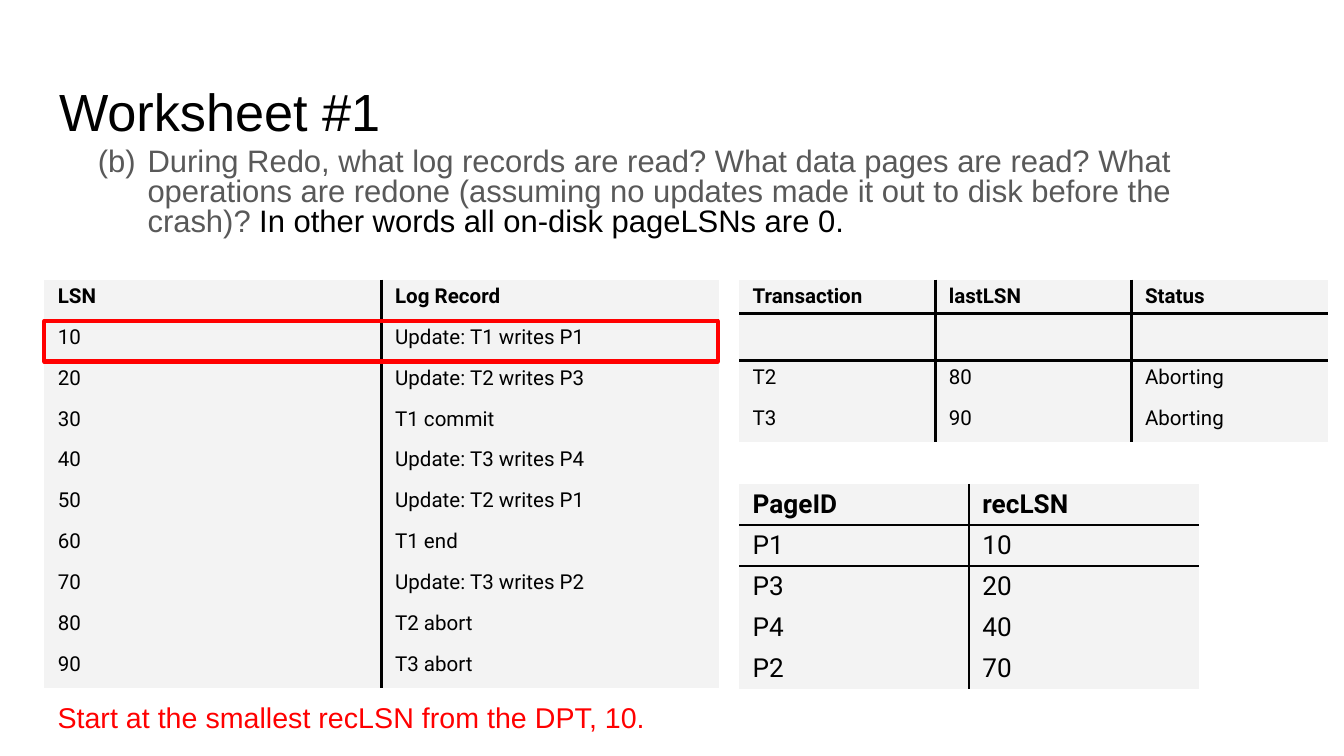
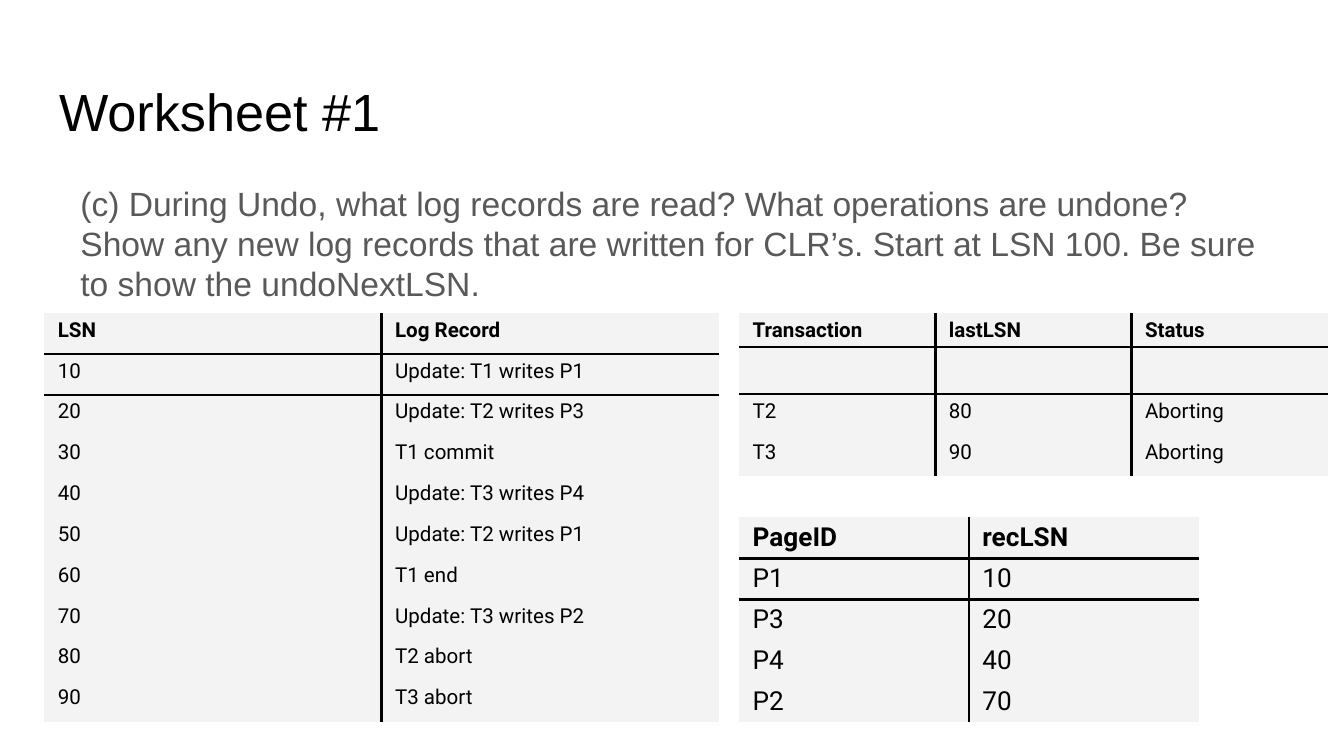
from lxml import etree
from pptx import Presentation
from pptx.dml.color import RGBColor
from pptx.enum.shapes import MSO_SHAPE
from pptx.enum.text import MSO_ANCHOR, MSO_AUTO_SIZE, PP_ALIGN
from pptx.oxml.ns import qn
from pptx.util import Inches, Pt

RECT = MSO_SHAPE.RECTANGLE
TOP = MSO_ANCHOR.TOP
LEFT = PP_ALIGN.LEFT
NO_FIT = MSO_AUTO_SIZE.NONE
TITLE_ONLY = 5

COLORS = {"black": "000000", "gray": "595959", "red": "FF0000", "cell": "F3F3F3"}
LOG_X, SIDE_X = 0.33, 5.5
ROW_H = 3.04 / 10

LOG = [
    ("LSN", "Log Record"),
    ("10", "Update: T1 writes P1"),
    ("20", "Update: T2 writes P3"),
    ("30", "T1 commit"),
    ("40", "Update: T3 writes P4"),
    ("50", "Update: T2 writes P1"),
    ("60", "T1 end"),
    ("70", "Update: T3 writes P2"),
    ("80", "T2 abort"),
    ("90", "T3 abort"),
]
TRANSACTIONS = [
    ("Transaction", "lastLSN", "Status"),
    ("", "", ""),
    ("T2", "80", "Aborting"),
    ("T3", "90", "Aborting"),
]
DIRTY_PAGES = [
    ("PageID", "recLSN"),
    ("P1", "10"),
    ("P3", "20"),
    ("P4", "40"),
    ("P2", "70"),
]


def rgb(name):
    return RGBColor.from_string(COLORS[name])


class Deck:
    def __init__(self):
        self.prs = Presentation()
        self.prs.slide_width = Inches(10)
        self.prs.slide_height = Inches(10 * 9 / 16)
        self.s = None

    def slide(self, title):
        self.s = self.prs.slides.add_slide(self.prs.slide_layouts[TITLE_ONLY])
        sp = self.s.shapes.title
        place = {"left": 0.34, "top": 0.49, "width": 9.32, "height": 0.63}
        for name, value in place.items():
            setattr(sp, name, Inches(value))
        self.frame(sp.text_frame, 0.1)
        p = sp.text_frame.paragraphs[0]
        p.alignment = LEFT
        self.run(p, title, 28, "black")

    def frame(self, tf, inset):
        values = {
            "word_wrap": True,
            "auto_size": NO_FIT,
            "vertical_anchor": TOP,
            "margin_left": Inches(0.1),
            "margin_right": Inches(0.1),
            "margin_top": Inches(inset),
            "margin_bottom": Inches(inset),
        }
        for name, value in values.items():
            setattr(tf, name, value)

    def run(self, p, text, size, color, font="Arial", bold=False):
        r = p.add_run()
        r.text = text
        for name, value in {"name": font, "size": Pt(size), "bold": bold}.items():
            setattr(r.font, name, value)
        r.font.color.rgb = rgb(color)

    def text(self, x, y, w, h, runs, size, spacing, letter=None):
        sp = self.s.shapes.add_textbox(Inches(x), Inches(y), Inches(w), Inches(h))
        self.frame(sp.text_frame, 0.05)
        p = sp.text_frame.paragraphs[0]
        p.line_spacing = spacing
        if letter:
            self.number(p, letter)
        for text, color in runs:
            self.run(p, text, size, color)

    def number(self, p, start):
        pPr = p._p.get_or_add_pPr()
        pPr.set("marL", str(Inches(0.5)))
        pPr.set("indent", str(-Inches(0.37)))
        clr = etree.SubElement(pPr, qn("a:buClr"))
        etree.SubElement(clr, qn("a:srgbClr"), val=COLORS["gray"])
        etree.SubElement(pPr, qn("a:buAutoNum"), type="alphaLcParenBoth", startAt=str(start))

    def border(self, cell, sides):
        tcPr = cell._tc.get_or_add_tcPr()
        for i, side in enumerate("LRTB"):
            ln = etree.Element(qn(f"a:ln{side}"), w=str(Pt(1.5)))
            if side in sides:
                fill = etree.SubElement(ln, qn("a:solidFill"))
                etree.SubElement(fill, qn("a:srgbClr"), val=COLORS["black"])
            else:
                etree.SubElement(ln, qn("a:noFill"))
            tcPr.insert(i, ln)

    def table(self, x, y, col_w, rows, size, heights=()):
        n, m = len(rows), len(rows[0])
        heights = list(heights) + [ROW_H] * (n - len(heights))
        tbl = self.s.shapes.add_table(
            n, m, Inches(x), Inches(y), Inches(col_w * m), Inches(sum(heights))
        ).table
        tbl.horz_banding = False
        for col in tbl.columns:
            col.width = Inches(col_w)
        for i, row in enumerate(rows):
            tbl.rows[i].height = Inches(heights[i])
            for j, text in enumerate(row):
                cell = tbl.cell(i, j)
                cell.margin_top = cell.margin_bottom = Pt(2.7)
                cell.fill.solid()
                cell.fill.fore_color.rgb = rgb("cell")
                rules = {"L": j > 0, "R": j < m - 1, "T": i in (1, 2), "B": i < 2}
                self.border(cell, [side for side, drawn in rules.items() if drawn])
                p = cell.text_frame.paragraphs[0]
                if text:
                    self.run(p, text, size, "black", "Roboto", i == 0)
                else:
                    etree.SubElement(p._p, qn("a:endParaRPr"), sz=str(size * 100))

    def tables(self, y):
        self.table(SIDE_X, y, 1.46, TRANSACTIONS, 11, (0.25, 0.35))
        self.table(SIDE_X, y + 1.52, 1.71, DIRTY_PAGES, 14)
        self.table(LOG_X, y, 2.51, LOG, 11)

    def highlight(self, x, y, w, h):
        sp = self.s.shapes.add_shape(RECT, Inches(x), Inches(y), Inches(w), Inches(h))
        sp.shadow.inherit = False
        sp.fill.background()
        sp.line.color.rgb = rgb("red")
        sp.line.width = Pt(2.25)


def main():
    deck = Deck()

    deck.slide("Worksheet #1")
    deck.tables(2.08)
    question = (
        "During Redo, what log records are read? What data pages are read? "
        "What operations are redone (assuming no updates made it out to disk "
        "before the crash)? "
    )
    hint = "In other words all on-disk pageLSNs are 0."
    deck.text(0.5, 1.06, 9, 1.02, [(question, "gray"), (hint, "black")], 16.6, 0.8, letter=2)
    answer = "Start at the smallest recLSN from the DPT, 10."
    deck.text(LOG_X, 5.21, 5.44, 0.32, [(answer, "red")], 15.3, 0.8)
    deck.highlight(LOG_X, 2.39, 5.01, 0.3)

    deck.slide("Worksheet #1")
    deck.tables(2.33)
    question = (
        "(c) During Undo, what log records are read? What operations are undone? "
        "Show any new log records that are written for CLR’s. Start at LSN 100. "
        "Be sure to show the undoNextLSN."
    )
    deck.text(0.5, 1.31, 9, 1.02, [(question, "gray")], 18, 1.0)

    deck.prs.save("out.pptx")


if __name__ == "__main__":
    main()
